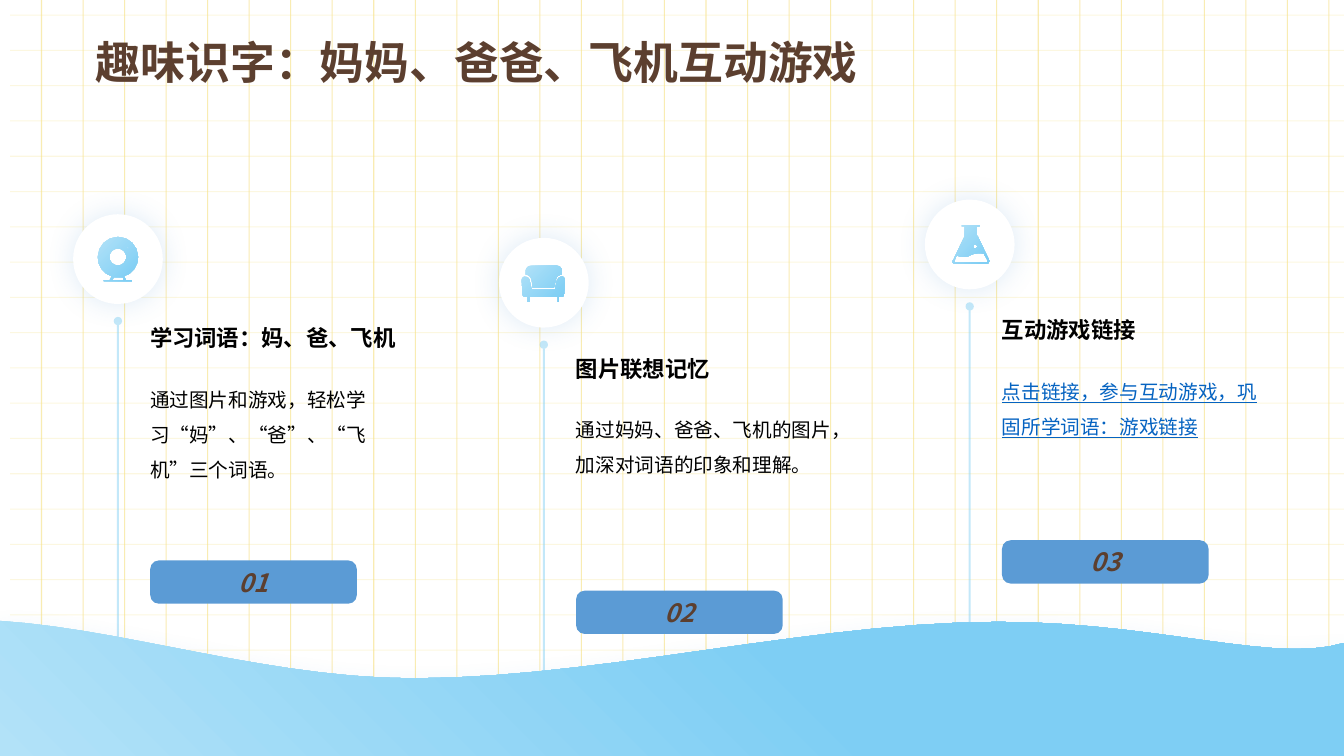
from dataclasses import dataclass

from pptx import Presentation
from pptx import util as u
from pptx.dml.color import RGBColor
from pptx.enum import shapes, text
from pptx.oxml import parse_xml
from pptx.oxml.ns import nsdecls, qn
from pptx.shapes import autoshape, base, shapetree

Contour = tuple[tuple[float, ...], ...]

BROWN = RGBColor(0x5C, 0x3F, 0x2F)
BLACK = RGBColor(0x00, 0x00, 0x00)
WHITE = RGBColor(0xFF, 0xFF, 0xFF)
LINK = RGBColor(0x05, 0x63, 0xC1)
BADGE = RGBColor(0x5B, 0x9B, 0xD5)
SKY = RGBColor(0x7E, 0xCE, 0xF4)
PALE_SKY = RGBColor(0xB2, 0xE2, 0xF8)
RULING = RGBColor(0xF7, 0xE2, 0x88)
FONT = "Noto Sans CJK SC"

# Layout grid: square cells of a tenth of an inch
CELL = u.Inches(0.1)
WIDTH, HEIGHT = 133.33, 75
FIRST_CENTRE, CARD_PITCH = 11.7, 42.25
TEXT_INDENT, BADGE_INDENT = 2.2, 3.2


def cells(count: float) -> u.Emu:
    return u.Emu(round(count * CELL))


@dataclass(frozen=True)
class Card:
    number: str
    heading: str
    body: str
    icon: tuple[Contour, ...]
    icon_row: float
    text_row: float
    badge_row: float
    body_rows: float = 11.2
    linked: bool = False


def ring(x: float, y: float, r: float) -> Contour:
    k = 0.55 * r
    return ((x, y - r), (x + k, y - r, x + r, y - k, x + r, y),
            (x + r, y + k, x + k, y + r, x, y + r),
            (x - k, y + r, x - r, y + k, x - r, y),
            (x - r, y - k, x - k, y - r, x, y - r))


# Outlines: two numbers are a corner, six numbers are a Bézier curve.
# Icons are measured in tenths of a cell from the centre of their disc.
WEBCAM = (
    ((0, -22), (11, -22, 20, -13, 20, -2), (20, 7, 14, 15, 6, 17), (8, 21), (14, 21),
     (14, 22), (-14, 22), (-14, 21), (-8, 21), (-6, 17), (-14, 15, -20, 7, -20, -2),
     (-20, -13, -11, -22, 0, -22)),
    ((-4, 18), (-6, 21), (6, 21), (5, 18)),
    ring(0, -2, 8.5),
    ring(10, -11, 1),
)
SOFA = (
    ((18, -6), (20, -6, 21, -4, 21, -2), (20, 12), (20, 13, 19, 14, 18, 14), (15, 14),
     (15, 19), (14, 19), (14, 14), (-14, 14), (-14, 19), (-16, 19), (-16, 14), (-18, 14),
     (-20, 14, -21, 13, -21, 12), (-22, -2), (-22, -4, -21, -6, -19, -6),
     (-16, -6, -14, -4, -14, -2), (-12, 7), (11, 7), (13, -2), (14, -4, 15, -6, 18, -6)),
    ((12, -17), (15, -17, 18, -15, 18, -12), (18, -8), (15, -8, 12, -6, 12, -3), (10, 5),
     (-11, 5), (-12, -3), (-13, -6, -15, -8, -18, -8), (-18, -12),
     (-18, -15, -15, -17, -12, -17)),
)
FLASK = (
    ((-15, 19), (-17, 19, -18, 17, -16, 15), (-5, -8), (-5, -18), (-8, -18), (-8, -19),
     (10, -19), (10, -18), (7, -18), (7, -9), (8, -8), (19, 15), (20, 17, 19, 19, 17, 19)),
    ((2, 10), (-2, 13, -8, 13, -13, 11), (-15, 16), (-15, 18), (17, 18),
     (18, 18, 18, 17, 18, 16), (14, 9), (10, 8, 5, 9, 2, 10)),
    ring(5.5, 2, 2),
)
WAVE = (
    ((WIDTH, 63.8), (WIDTH, HEIGHT), (0, HEIGHT), (0, 61.6),
     (12.4, 62.4, 26.7, 67.3, 41, 67.3), (59.4, 67.3, 80.6, 61.7, 99, 61.7),
     (115, 61.7, 126.4, 65.9, WIDTH, 63.8)),
)

CARDS = (
    Card("01", "学习词语：妈、爸、飞机", "通过图片和游戏，轻松学习“妈”、“爸”、“飞机”三个词语。",
         WEBCAM, 25.7, 31.7, 55.6),
    Card("02", "图片联想记忆", "通过妈妈、爸爸、飞机的图片，加深对词语的印象和理解。",
         SOFA, 28.05, 34.7, 58.6),
    Card("03", "互动游戏链接", "点击链接，参与互动游戏，巩固所学词语：游戏链接",
         FLASK, 24.25, 30.9, 53.6, body_rows=22.4, linked=True),
)


def flatten(contour: Contour, steps: int) -> list[tuple[float, float]]:
    points = [contour[0]]
    for part in contour[1:]:
        if len(part) == 2:
            points.append(part)
            continue
        (x0, y0), (x1, y1, x2, y2, x3, y3) = points[-1], part
        for step in range(1, steps + 1):
            t = step / steps
            a, b, c, d = (1 - t) ** 3, 3 * t * (1 - t) ** 2, 3 * t * t * (1 - t), t ** 3
            points.append((a * x0 + b * x1 + c * x2 + d * x3, a * y0 + b * y1 + c * y2 + d * y3))
    return points


def add_outline(tree: shapetree.SlideShapes, contours: tuple[Contour, ...], steps: int,
                angle: float, last_stop: float, x: float = 0, y: float = 0,
                unit: float = 1) -> autoshape.Shape:
    builder = None
    for contour in contours:
        points = [(cells(x + px * unit), cells(y + py * unit))
                  for px, py in flatten(contour, steps)]
        if builder is None:
            builder = tree.build_freeform(*points[0], scale=1.0)
        else:
            builder.move_to(*points[0])
        builder.add_line_segments(points[1:], close=True)
    shape = builder.convert_to_shape()
    shape.shadow.inherit = False
    shape.line.fill.background()
    shape.fill.gradient()
    shape.fill.gradient_angle = angle
    for stop, place, color in zip(shape.fill.gradient_stops, (0, last_stop), (PALE_SKY, SKY)):
        stop.position = place
        stop.color.rgb = color
    return shape


def add_glow(shape: base.BaseShape, distance: float = 0, direction: int = 0) -> None:
    effects = shape.element.spPr.find(qn("a:effectLst"))
    effects.append(parse_xml(
        f'<a:outerShdw {nsdecls("a")} blurRad="{u.Pt(20)}" dist="{u.Pt(distance)}" '
        f'dir="{direction * 60000}" algn="ctr" rotWithShape="0"><a:srgbClr val="{BADGE}">'
        '<a:alpha val="20000"/></a:srgbClr></a:outerShdw>'))


def add_line(tree: shapetree.SlideShapes | shapetree.GroupShapes,
             start: tuple[float, float], end: tuple[float, float], color: RGBColor,
             weight: float, opacity: int, dotted_ends: bool = False) -> None:
    line = tree.add_connector(shapes.MSO_CONNECTOR.STRAIGHT, *map(cells, start + end))
    line.line.color.rgb = color
    line.line.width = u.Pt(weight)
    properties = line.element.spPr
    paint = next(properties.iter(qn("a:srgbClr")))
    paint.append(parse_xml(f'<a:alpha {nsdecls("a")} val="{opacity * 1000}"/>'))
    if dotted_ends:
        for tag in ("headEnd", "tailEnd"):
            properties.find(qn("a:ln")).append(parse_xml(f'<a:{tag} {nsdecls("a")} type="oval"/>'))
    properties.append(parse_xml(f'<a:effectLst {nsdecls("a")}/>'))


def write(shape: autoshape.Shape, words: str, size: float, color: RGBColor, *,
          bold: bool = False, italic: bool = False, underline: bool = False,
          spacing: float = 1.0, align: text.PP_ALIGN = text.PP_ALIGN.LEFT,
          anchor: text.MSO_ANCHOR = text.MSO_ANCHOR.TOP) -> None:
    frame = shape.text_frame
    frame.word_wrap = True
    frame.vertical_anchor = anchor
    frame.text = words
    para = frame.paragraphs[0]
    para.alignment, para.line_spacing = align, spacing
    font = para.runs[0].font
    font.name, font.size, font.color.rgb = FONT, u.Pt(size), color
    font.bold, font.italic, font.underline = bold, italic, underline
    for properties in shape.element.iter(qn("a:rPr")):
        properties.append(parse_xml(f'<a:ea {nsdecls("a")} typeface="{FONT}"/>'))


def add_label(tree: shapetree.SlideShapes, x: float, y: float, rows: float, words: str,
              size: float, color: RGBColor, **style) -> None:
    box = tree.add_textbox(*map(cells, (x, y, 27.6, rows)))
    write(box, words, size, color, **style)
    box.text_frame.auto_size = text.MSO_AUTO_SIZE.SHAPE_TO_FIT_TEXT


def add_preset(tree: shapetree.SlideShapes, kind: shapes.MSO_SHAPE, x: float, y: float,
               width: float, height: float, color: RGBColor) -> autoshape.Shape:
    shape = tree.add_shape(kind, *map(cells, (x, y, width, height)))
    shape.shadow.inherit = False
    shape.fill.solid()
    shape.fill.fore_color.rgb = color
    shape.line.fill.background()
    return shape


def add_card(tree: shapetree.SlideShapes, card: Card, centre: float) -> None:
    badge = add_preset(tree, shapes.MSO_SHAPE.ROUNDED_RECTANGLE, centre + BADGE_INDENT,
                       card.badge_row, 20.5, 4.3, BADGE)
    badge.adjustments[0] = 0.2
    write(badge, card.number, 18, BROWN, bold=True, italic=True,
          align=text.PP_ALIGN.CENTER, anchor=text.MSO_ANCHOR.MIDDLE)
    left = centre + TEXT_INDENT
    add_label(tree, left, card.text_row + 5.1, card.body_rows, card.body, 14,
              LINK if card.linked else BLACK, underline=card.linked, spacing=1.5)
    add_label(tree, left, card.text_row, 3.7, card.heading, 16, BLACK, bold=True)
    disc = add_preset(tree, shapes.MSO_SHAPE.OVAL, centre - 4.45, card.icon_row - 4.45,
                      8.9, 8.9, WHITE)
    add_glow(disc)
    add_outline(tree, card.icon, 4, 315, 0.9, centre, card.icon_row, 0.1)


def main() -> None:
    deck = Presentation()
    deck.slide_width, deck.slide_height = cells(WIDTH), cells(HEIGHT)
    page = deck.slides.add_slide(deck.slide_layouts[5])
    tree = page.shapes

    # Ruled paper, moved to the slide master under fresh shape numbers
    rows, columns = tree.add_group_shape(), tree.add_group_shape()
    for index in range(21):
        y = 1.5 + 3.5 * index
        add_line(rows.shapes, (1, y), (WIDTH, y), RULING, 0.75, 25)
    for index in range(1, 33):
        x = 4.12 * index
        add_line(columns.shapes, (x, -1), (x, 74), RULING, 0.75, 64)
    for group in (rows, columns):
        for label in group.element.iter(qn("p:cNvPr")):
            label.set("id", str(int(label.get("id")) + 100))
        deck.slide_master.shapes.element.append(group.element)

    # Stems, then the wave that covers their feet
    centres = [FIRST_CENTRE + CARD_PITCH * index for index in range(len(CARDS))]
    for card, centre in zip(CARDS, centres):
        top = card.icon_row + 6.15
        add_line(tree, (centre, top), (centre, top + 40.1), SKY, 1.5, 45, dotted_ends=True)
    add_glow(add_outline(tree, WAVE, 14, 45, 0.6), 10, 90)

    # Title
    title = tree.title
    title.left, title.top, title.width, title.height = map(cells, (8.5, 3.5, 118.1, 7.9))
    write(title, "趣味识字：妈妈、爸爸、飞机互动游戏", 32, BROWN, bold=True, spacing=0.9)
    title.text_frame.paragraphs[0].space_after = u.Pt(10)

    for card, centre in zip(CARDS, centres):
        add_card(tree, card, centre)
    deck.save("out.pptx")


if __name__ == "__main__":
    main()
